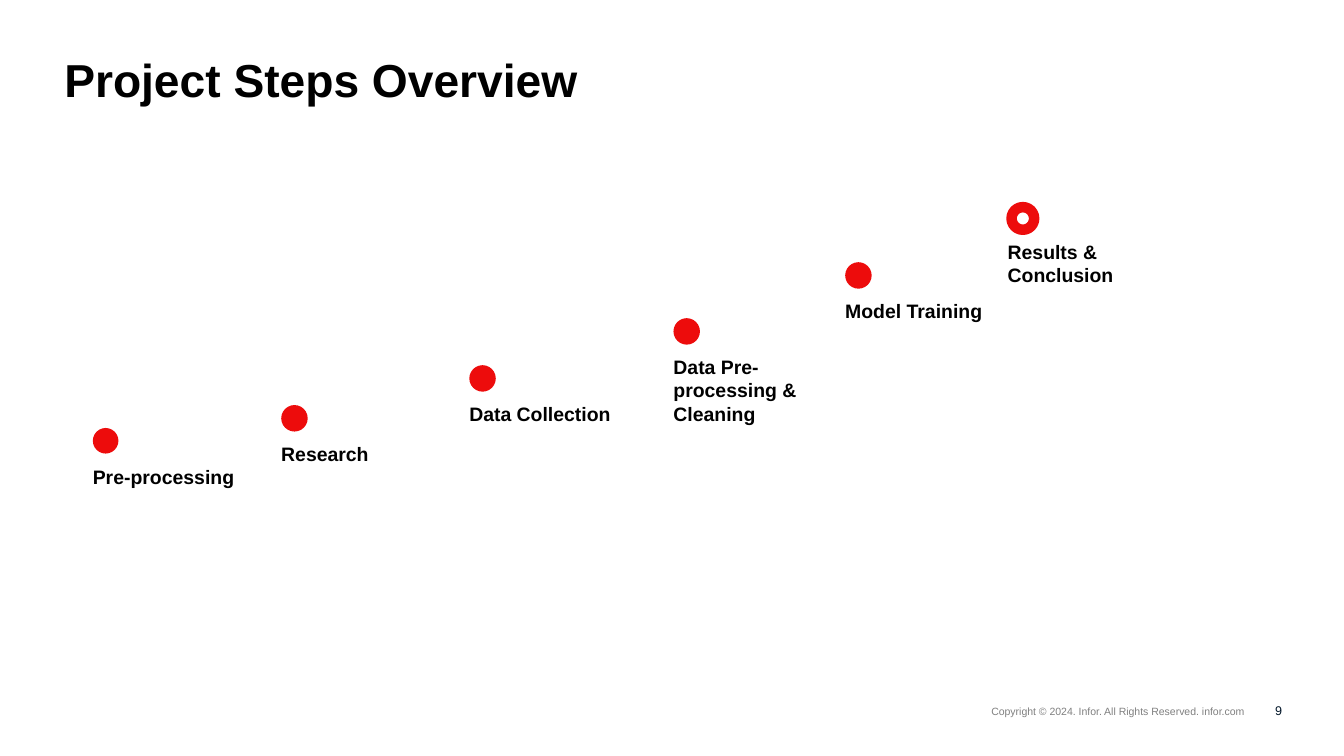
"""Build the project steps overview slide."""
from dataclasses import dataclass

from pptx import Presentation
from pptx.dml.color import RGBColor
from pptx.enum.shapes import MSO_SHAPE
from pptx.enum.text import MSO_ANCHOR, MSO_AUTO_SIZE, PP_ALIGN
from pptx.slide import Slide
from pptx.text.text import TextFrame
from pptx.util import Cm, Pt

COLORS = {
    "red": "ED0C0C",
    "white": "FFFFFF",
    "black": "000000",
    "gray": "808080",
    "navy": "001528",
}
LABEL_OFFSET = 1.24
LABEL_WIDTH = 5.0
LINE_HEIGHT = 0.79
DOT_SIZE = 0.89


@dataclass(frozen=True)
class Step:
    """A milestone: label, dot position, dot size and label lines, in cm."""

    label: str
    left: float
    top: float
    size: float = DOT_SIZE
    lines: int = 1


@dataclass(frozen=True)
class FooterText:
    """A right-aligned footer text with its box in cm."""

    text: str
    left: float
    top: float
    width: float
    height: float
    size: float
    color: str


STEPS = [
    Step("Pre-processing", 3.12, 14.38, size=0.86),
    Step("Research", 9.45, 13.61),
    Step("Data Collection", 15.77, 12.27),
    Step("Data Pre-processing & Cleaning", 22.63, 10.69, lines=3),
    Step("Model Training", 28.4, 8.81),
    Step("Results & Conclusion", 33.86, 6.83, lines=2),
]
FOOTERS = [
    FooterText("9", 41.33, 23.29, 1.75, 1.17, 12, "navy"),
    FooterText(
        "Copyright © 2024. Infor. All Rights Reserved. infor.com",
        33.17, 23.67, 8.64, 0.43, 10, "gray",
    ),
]


def write_text(
    frame: TextFrame,
    text: str,
    size: float,
    color: str = "black",
    bold: bool = True,
    align: PP_ALIGN = PP_ALIGN.LEFT,
    anchor: MSO_ANCHOR = MSO_ANCHOR.TOP,
) -> None:
    """Fill a text frame that has no margins with one formatted paragraph."""
    frame_format = {
        "margin_left": 0,
        "margin_top": 0,
        "margin_right": 0,
        "margin_bottom": 0,
        "word_wrap": True,
        "auto_size": MSO_AUTO_SIZE.NONE,
        "vertical_anchor": anchor,
    }
    for name, value in frame_format.items():
        setattr(frame, name, value)
    paragraph = frame.paragraphs[0]
    paragraph.alignment = align
    run = paragraph.add_run()
    run.text = text
    for name, value in {"name": "Arial", "size": Pt(size), "bold": bold}.items():
        setattr(run.font, name, value)
    run.font.color.rgb = RGBColor.from_string(COLORS[color])


def add_dot(
    slide: Slide, left: float, top: float, size: float, fill: str, outline: float = 0
) -> None:
    """Draw a circle, with a red outline when a width in points is given."""
    shape = slide.shapes.add_shape(
        MSO_SHAPE.OVAL, Cm(left), Cm(top), Cm(size), Cm(size)
    )
    shape.shadow.inherit = False
    shape.fill.solid()
    shape.fill.fore_color.rgb = RGBColor.from_string(COLORS[fill])
    if outline:
        shape.line.color.rgb = RGBColor.from_string(COLORS["red"])
        shape.line.width = Pt(outline)
    else:
        shape.line.fill.background()


def add_step(slide: Slide, step: Step) -> None:
    """Draw the dot of a step and the label below it."""
    add_dot(slide, step.left, step.top, step.size, "red")
    label = slide.shapes.add_textbox(
        Cm(step.left), Cm(step.top + LABEL_OFFSET),
        Cm(LABEL_WIDTH), Cm(LINE_HEIGHT * step.lines),
    )
    write_text(label.text_frame, step.label, 18.5)


def add_footer(slide: Slide, footer: FooterText) -> None:
    """Draw one footer text."""
    box = slide.shapes.add_textbox(
        Cm(footer.left), Cm(footer.top), Cm(footer.width), Cm(footer.height)
    )
    write_text(
        box.text_frame, footer.text, footer.size, footer.color,
        bold=False, align=PP_ALIGN.RIGHT, anchor=MSO_ANCHOR.MIDDLE,
    )


def main() -> None:
    """Assemble and save the presentation."""
    presentation = Presentation()
    presentation.slide_width = Cm(45.16)
    presentation.slide_height = Cm(25.4)
    slide = presentation.slides.add_slide(presentation.slide_layouts[5])

    title = slide.shapes.title
    title_box = {"left": 2.16, "top": 1.73, "width": 40.89, "height": 2.72}
    for name, value in title_box.items():
        setattr(title, name, Cm(value))
    write_text(title.text_frame, "Project Steps Overview", 44)

    for step in STEPS:
        add_step(slide, step)
    final = STEPS[-1]
    add_dot(slide, final.left + 0.13, final.top + 0.13, 0.76, "white", outline=10)

    for footer in FOOTERS:
        add_footer(slide, footer)
    presentation.save("out.pptx")


if __name__ == "__main__":
    main()
